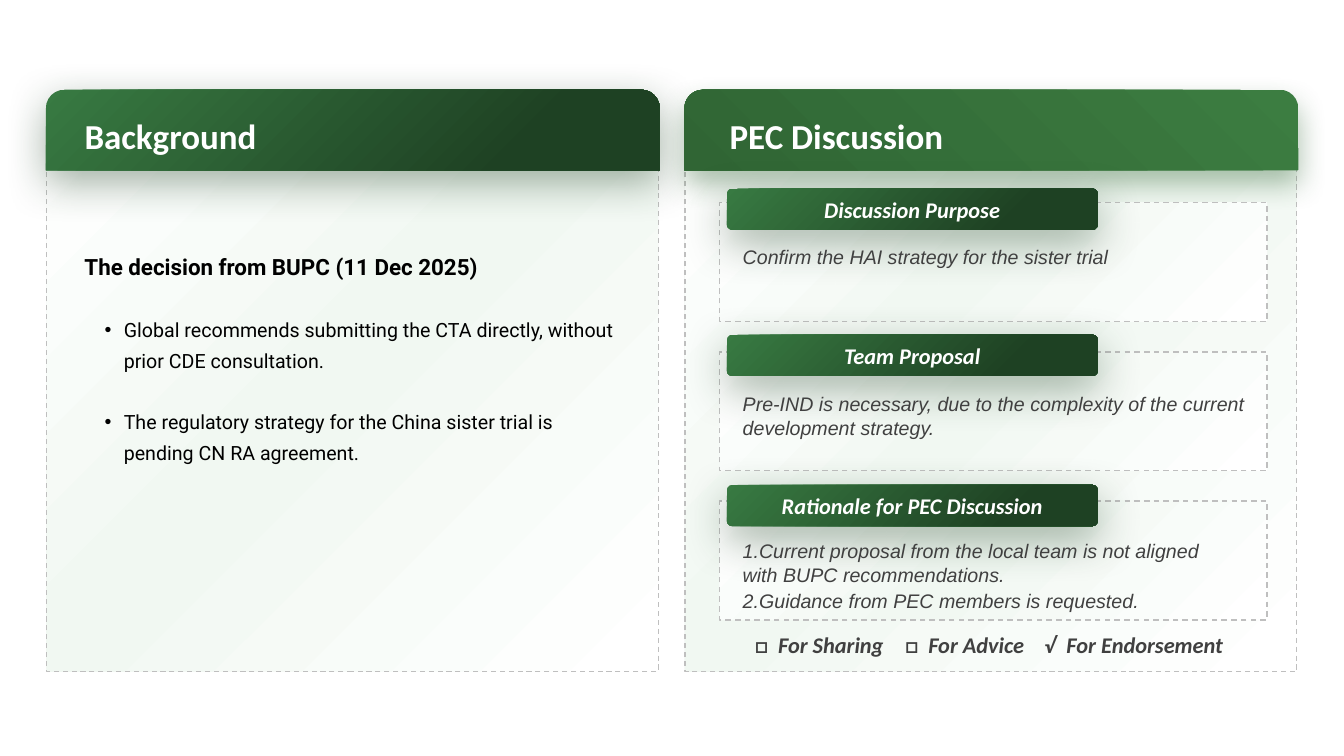
import pptx
import pptx.util
import pptx.dml.color
import pptx.enum.dml
import pptx.enum.shapes
import pptx.enum.text
import pptx.oxml
import pptx.oxml.ns

SHAPE = pptx.enum.shapes.MSO_SHAPE
ALIGN = pptx.enum.text.PP_ALIGN
ANCHOR = pptx.enum.text.MSO_ANCHOR
Pt = pptx.util.Pt
NS = pptx.oxml.ns.nsdecls("a")

PALE = dict(stops=[(0, "FFFFFF"), (46, "F1F8F2"), (100, "FFFFFF")], focus="lt")
DARK = dict(stops=[(23, "1E4123"), (100, "387A42")], focus="rb")
MID = dict(stops=[(0, "306534"), (100, "3C7D41")], focus="lb")
FOCUS = {
    "lt": 'r="100000" b="100000"',
    "rb": 'l="100000" t="100000"',
    "lb": 't="100000" r="100000"',
}


def rgb(value):
    return pptx.dml.color.RGBColor.from_string(value)


def apply(target, values):
    for key, value in values.items():
        setattr(target, key, value)


class Deck:
    columns, rows = 160, 90
    fonts = {
        "heading": (dict(name="Calibri", size=Pt(25), bold=True), "FFFFFF"),
        "tag": (dict(name="Calibri", size=Pt(16), bold=True, italic=True), "FFFFFF"),
        "body": (dict(name="Arial", size=Pt(14), italic=True), "404040"),
        "option": (dict(name="Calibri", size=Pt(16), bold=True, italic=True), "404040"),
        "box": (dict(name="Calibri", size=Pt(16), bold=True, italic=False), "404040"),
        "lead": (dict(name="Roboto", size=Pt(16), bold=True), "000000"),
        "point": (dict(name="Roboto", size=Pt(14)), "000000"),
    }

    def __init__(self):
        self.prs = pptx.Presentation()
        apply(self.prs, dict(slide_width=pptx.util.Inches(13.33), slide_height=pptx.util.Inches(7.5)))
        self.s = self.prs.slides.add_slide(self.prs.slide_layouts[6])

    def col(self, n):
        return round(n * self.prs.slide_width / self.columns)

    def row(self, n):
        return round(n * self.prs.slide_height / self.rows)

    def place(self, x, y, w, h):
        return self.col(x), self.row(y), self.col(w), self.row(h)

    def shape(self, kind, at, gradient, radius=None, line=None, shadow=None):
        sp = self.s.shapes.add_shape(kind, *self.place(*at))
        sp.shadow.inherit = False
        if radius is not None:
            sp.adjustments[0] = radius
        stops = "".join(
            f'<a:gs pos="{pos * 1000}"><a:srgbClr val="{value}"/></a:gs>'
            for pos, value in gradient["stops"]
        )
        fill = pptx.oxml.parse_xml(
            f'<a:gradFill {NS} rotWithShape="1"><a:gsLst>{stops}</a:gsLst>'
            f'<a:path path="circle"><a:fillToRect {FOCUS[gradient["focus"]]}/></a:path></a:gradFill>'
        )
        props = sp.element.spPr
        props.find(pptx.oxml.ns.qn("a:prstGeom")).addnext(fill)
        if line:
            sp.line.color.rgb = rgb("BFBFBF")
            apply(sp.line, dict(width=Pt(line), dash_style=pptx.enum.dml.MSO_LINE.DASH))
        else:
            sp.line.fill.background()
        if shadow:
            value, blur, dist = shadow
            props.find(pptx.oxml.ns.qn("a:effectLst")).append(pptx.oxml.parse_xml(
                f'<a:outerShdw {NS} blurRad="{Pt(blur)}" dist="{Pt(dist)}" dir="5400000" '
                f'algn="t" rotWithShape="0"><a:srgbClr val="{value}">'
                '<a:alpha val="40000"/></a:srgbClr></a:outerShdw>'
            ))
        return sp

    def box(self, at):
        tf = self.s.shapes.add_textbox(*self.place(*at)).text_frame
        tf.word_wrap = True
        return tf

    def run(self, p, text, style):
        r = p.add_run()
        r.text = text
        values, value = self.fonts[style]
        apply(r.font, values)
        r.font.color.rgb = rgb(value)

    def paragraphs(self, tf, lines, style, **values):
        for i, text in enumerate(lines):
            p = tf.add_paragraph() if i else tf.paragraphs[0]
            apply(p, values)
            self.run(p, text, style)

    def panel(self, x, title, title_x, gradient, shadow):
        self.shape(SHAPE.RECTANGLE, (x, 15.6, 72.84, 64.32), PALE, line=0.9)
        self.shape(SHAPE.ROUND_2_SAME_RECTANGLE, (x - 0.06, 10.68, 73.08, 9.6), gradient,
                   radius=0.23, shadow=shadow)
        self.paragraphs(self.box((title_x, 12, 63.6, 6.84)), [title], "heading", line_spacing=1.2)

    def card(self, i, tag_y, title, lines, width):
        self.shape(SHAPE.RECTANGLE, (85.68, 24.12 + 17.76 * i, 65.16, 14.16), PALE, line=1)
        tag = self.shape(SHAPE.ROUNDED_RECTANGLE, (86.52, tag_y, 44.16, 4.92), DARK,
                         radius=0.13, shadow=("1E4123", 32.4, 9.7))
        tag.text_frame.vertical_anchor = ANCHOR.MIDDLE
        self.paragraphs(tag.text_frame, [title], "tag", alignment=ALIGN.CENTER)
        tf = self.box((87.24, 28.56 + 17.52 * i, width, 8.16))
        self.paragraphs(tf, lines, "body", space_after=Pt(2))

    def options(self, at, choices, stops):
        tf = self.box(at)
        tf.margin_left = self.col(8.4)
        p = tf.paragraphs[0]
        tabs = "".join(f'<a:tab pos="{self.col(n)}" algn="l"/>' for n in stops)
        p._p.get_or_add_pPr().append(pptx.oxml.parse_xml(f"<a:tabLst {NS}>{tabs}</a:tabLst>"))
        for i, (mark, style, label) in enumerate(choices):
            self.run(p, "\t" + mark if i else mark, style)
            self.run(p, "\t" + label, "option")

    def background(self, at, lead, points):
        tf = self.box(at)
        self.paragraphs(tf, [lead], "lead", line_spacing=Pt(22))
        for text in points:
            p = tf.add_paragraph()
            props = p._p.get_or_add_pPr()
            props.set("marL", str(self.col(4.68)))
            props.set("indent", str(-self.col(2.28)))
            props.append(pptx.oxml.parse_xml(f'<a:buFont {NS} typeface="Arial"/>'))
            props.append(pptx.oxml.parse_xml(f'<a:buChar {NS} char="•"/>'))
            apply(p, dict(line_spacing=Pt(22), space_before=Pt(22)))
            self.run(p, text, "point")


def main():
    deck = Deck()
    deck.panel(5.52, "Background", 8.88, DARK, ("1E4123", 29.2, 8.7))
    deck.panel(81.54, "PEC Discussion", 85.68, MID, ("306534", 20, 9.7))
    cards = [
        (22.44, "Discussion Purpose", ["Confirm the HAI strategy for the sister trial"], 60.36),
        (39.84, "Team Proposal",
         ["Pre-IND is necessary, due to the complexity of the current development strategy."], 62.16),
        (57.72, "Rationale for PEC Discussion",
         ["1.Current proposal from the local team is not aligned with BUPC recommendations.",
          "2.Guidance from PEC members is requested."], 60.36),
    ]
    for i, card in enumerate(cards):
        deck.card(i, *card)
    deck.options(
        (81.48, 74.52, 72.48, 4.44),
        [("□", "box", "For Sharing"), ("□", "box", "For Advice"), ("√", "option", "For Endorsement")],
        [2.76, 17.88, 20.64, 34.44, 37.08],
    )
    deck.background(
        (8.88, 29.04, 66.12, 32.04),
        "The decision from BUPC (11 Dec 2025)",
        ["Global recommends submitting the CTA directly, without prior CDE consultation.",
         "The regulatory strategy for the China sister trial is pending CN RA agreement."],
    )
    deck.prs.save("out.pptx")


if __name__ == "__main__":
    main()
